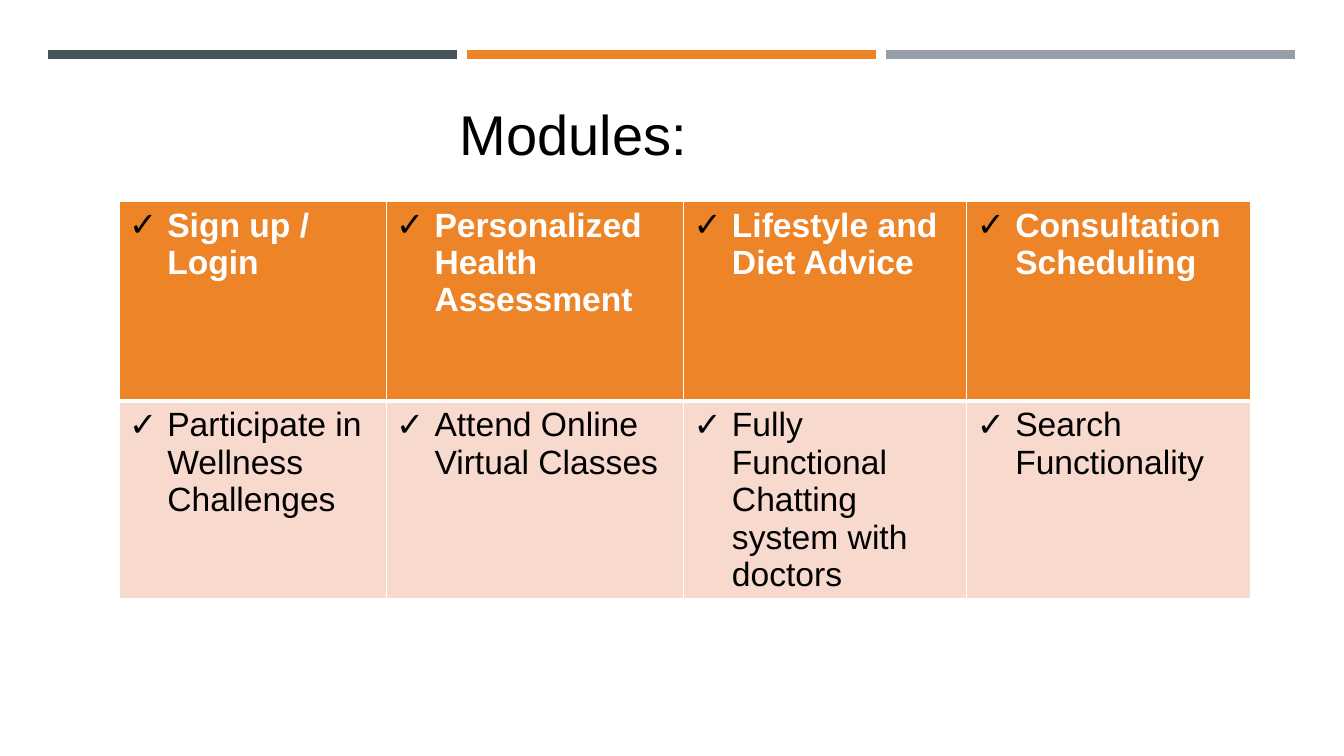
from lxml.etree import SubElement
from pptx import Presentation
from pptx.dml.color import RGBColor
from pptx.enum.shapes import MSO_CONNECTOR
from pptx.enum.text import MSO_ANCHOR, PP_ALIGN
from pptx.oxml.ns import qn
from pptx.util import Inches, Pt

BLACK = RGBColor(0x00, 0x00, 0x00)
WHITE = RGBColor(0xFF, 0xFF, 0xFF)
SLATE = RGBColor(0x46, 0x53, 0x59)
ORANGE = RGBColor(0xED, 0x84, 0x28)
GREY = RGBColor(0x96, 0x9F, 0xA7)
PEACH = RGBColor(0xF8, 0xD9, 0xCD)
FONT = "Arial"

WIDTHS = [2.65, 2.95, 2.81, 2.81]
HEIGHTS = [1.98, 1.45]
MODULES = [
    ["Sign up / Login", "Personalized Health Assessment",
     "Lifestyle and Diet Advice", "Consultation Scheduling"],
    ["Participate in Wellness Challenges", "Attend Online Virtual Classes",
     "Fully Functional Chatting system with doctors", "Search Functionality"],
]


def add_run(para, text, size, color, bold=False):
    """Add one formatted run to a paragraph."""
    run = para.add_run()
    run.text = text
    run.font.name = FONT
    run.font.size = Pt(size)
    run.font.bold = bold
    run.font.color.rgb = color


def add_color(parent, color):
    """Append a plain colour element."""
    SubElement(parent, qn("a:srgbClr"), val=str(color))


def add_tick(para):
    """Give a paragraph a hanging black tick."""
    props = para._p.get_or_add_pPr()
    props.set("marL", str(Inches(0.38)))
    props.set("indent", str(-Inches(0.38)))
    add_color(SubElement(props, qn("a:buClr")), BLACK)
    SubElement(props, qn("a:buFont"), typeface=FONT)
    SubElement(props, qn("a:buChar"), char="✓")


def add_edges(cell, top, bottom):
    """Draw white cell borders, with top and bottom in points."""
    props = cell._tc.get_or_add_tcPr()
    for side, width in zip("LRTB", (1, 1, top, bottom)):
        line = SubElement(props, qn(f"a:ln{side}"), w=str(Pt(width)))
        add_color(SubElement(line, qn("a:solidFill")), WHITE)


def add_bars(slide, left, top, width, gap=0.1):
    """Draw three equal coloured bars across the given width."""
    colors = [SLATE, ORANGE, GREY]
    size = (width - gap * (len(colors) - 1)) / len(colors)
    for i, color in enumerate(colors):
        start = left + i * (size + gap)
        bar = slide.shapes.add_connector(
            MSO_CONNECTOR.STRAIGHT, Inches(start), Inches(top),
            Inches(start + size), Inches(top))
        bar.line.color.rgb = color
        bar.line.width = Pt(6.5)
        SubElement(bar._element.spPr, qn("a:effectLst"))


def add_title(slide, left, top, width, height):
    """Place and format the title."""
    title = slide.shapes.title
    title.left, title.top = Inches(left), Inches(top)
    title.width, title.height = Inches(width), Inches(height)
    frame = title.text_frame
    frame.word_wrap = True
    frame.vertical_anchor = MSO_ANCHOR.TOP
    para = frame.paragraphs[0]
    para.alignment = PP_ALIGN.LEFT
    add_run(para, "Modules:", 40, BLACK)


def add_grid(slide, left, top):
    """Build the table of modules from its top left corner."""
    table = slide.shapes.add_table(
        len(HEIGHTS), len(WIDTHS), Inches(left), Inches(top),
        Inches(sum(WIDTHS)), Inches(sum(HEIGHTS))).table
    for col, width in zip(table.columns, WIDTHS):
        col.width = Inches(width)
    for r, texts in enumerate(MODULES):
        table.rows[r].height = Inches(HEIGHTS[r])
        head = r == 0
        for c, text in enumerate(texts):
            cell = table.cell(r, c)
            add_edges(cell, 1 if head else 3, 3 if head else 1)
            cell.fill.solid()
            cell.fill.fore_color.rgb = ORANGE if head else PEACH
            para = cell.text_frame.paragraphs[0]
            add_tick(para)
            add_run(para, text, 24, WHITE if head else BLACK, head)


def main():
    """Build and save the slide."""
    deck = Presentation()
    deck.slide_width, deck.slide_height = Inches(13.33), Inches(7.5)
    slide = deck.slides.add_slide(deck.slide_layouts[5])
    add_bars(slide, 0.48, 0.54, 12.36)
    add_grid(slide, 1.18, 2)
    add_title(slide, 4.46, 0.94, 3.83, 2.12)
    deck.save("out.pptx")


if __name__ == "__main__":
    main()
